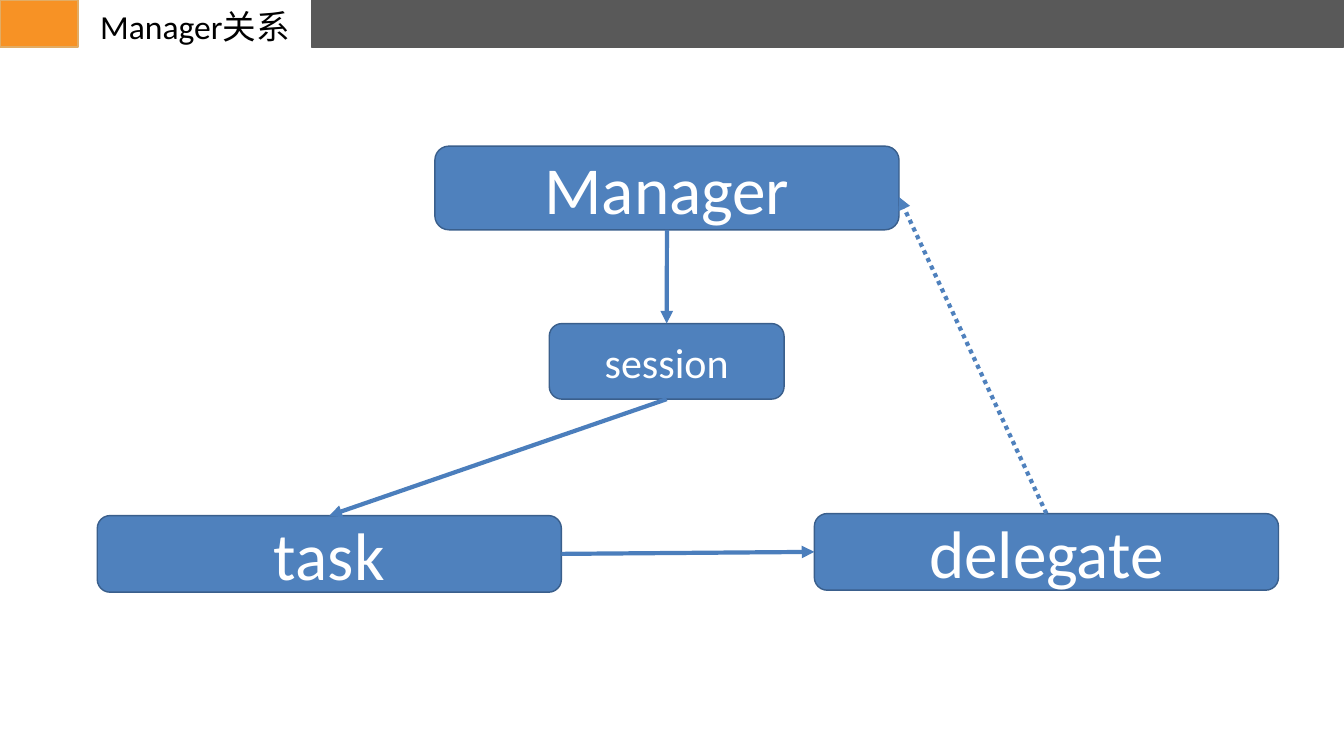
from pptx import Presentation
from pptx.dml.color import RGBColor
from pptx.enum.dml import MSO_LINE as Dash
from pptx.enum.shapes import MSO_CONNECTOR as Link, MSO_SHAPE as Shape
from pptx.enum.text import MSO_ANCHOR as Anchor, MSO_AUTO_SIZE as Fit, PP_ALIGN as Align
from pptx.oxml.ns import qn
from pptx.util import Inches, Pt
from lxml.etree import SubElement

TOP, LEFT, BOTTOM, RIGHT = range(4)


def paint(part, color):
    part.solid()
    part.fore_color.rgb = RGBColor.from_string(color)


def write(shape, text, size, color):
    frame = shape.text_frame
    frame.word_wrap = True
    frame.vertical_anchor = Anchor.MIDDLE
    frame.text = text
    para = frame.paragraphs[0]
    para.alignment = Align.CENTER
    font = para.runs[0].font
    font.name, font.size = "Calibri", Pt(size)
    paint(font.fill, color)


def add_block(slide, kind, box, fill, line):
    shape = slide.shapes.add_shape(kind, *map(Inches, box))
    shape.shadow.inherit = False
    paint(shape.fill, fill)
    paint(shape.line.fill, line)
    shape.line.width = Pt(2)
    return shape


def add_node(slide, text, size, *box):
    node = add_block(slide, Shape.ROUNDED_RECTANGLE, box, "4F81BD", "3A5F8C")
    write(node, text, size, "FFFFFF")
    return node


def add_arrow(slide, start, exit, end, entry, color="4B7EBC"):
    arrow = slide.shapes.add_connector(Link.STRAIGHT, 0, 0, 0, 0)
    arrow.begin_connect(start, exit)
    arrow.end_connect(end, entry)
    paint(arrow.line.fill, color)
    arrow.line.width = Pt(6)
    props = arrow.element.spPr
    SubElement(props.find(qn("a:ln")), qn("a:tailEnd"), type="triangle")
    SubElement(props, qn("a:effectLst"))
    return arrow


def add_title(slide, text, *box):
    title = slide.shapes.add_textbox(*map(Inches, box))
    write(title, text, 48, "000000")
    title.text_frame.auto_size = Fit.SHAPE_TO_FIT_TEXT


def main():
    deck = Presentation()
    deck.slide_width, deck.slide_height = Inches(26.67), Inches(15)
    slide = deck.slides.add_slide(deck.slide_layouts[6])

    add_block(slide, Shape.RECTANGLE, (6.18, 0, 20.48, 0.93), "595959", "595959")
    add_block(slide, Shape.RECTANGLE, (0, 0, 1.55, 0.93), "F79225", "E2AC64")

    manager = add_node(slide, "Manager", 96, 8.63, 2.9, 9.21, 1.66)
    session = add_node(slide, "session", 60, 10.9, 6.42, 4.66, 1.5)
    task = add_node(slide, "task", 96, 1.93, 10.23, 9.21, 1.52)
    delegate = add_node(slide, "delegate", 96, 16.16, 10.19, 9.21, 1.52)

    add_arrow(slide, manager, BOTTOM, session, TOP)
    add_arrow(slide, session, BOTTOM, task, TOP)
    add_arrow(slide, task, RIGHT, delegate, LEFT)
    reply = add_arrow(slide, delegate, TOP, manager, RIGHT, "4F81BD")
    reply.line.dash_style = Dash.ROUND_DOT
    reply.end_y = Inches(3.91)

    add_title(slide, "Manager关系", 1.56, 0.06, 4.62, 0.91)
    deck.save("out.pptx")


if __name__ == "__main__":
    main()
